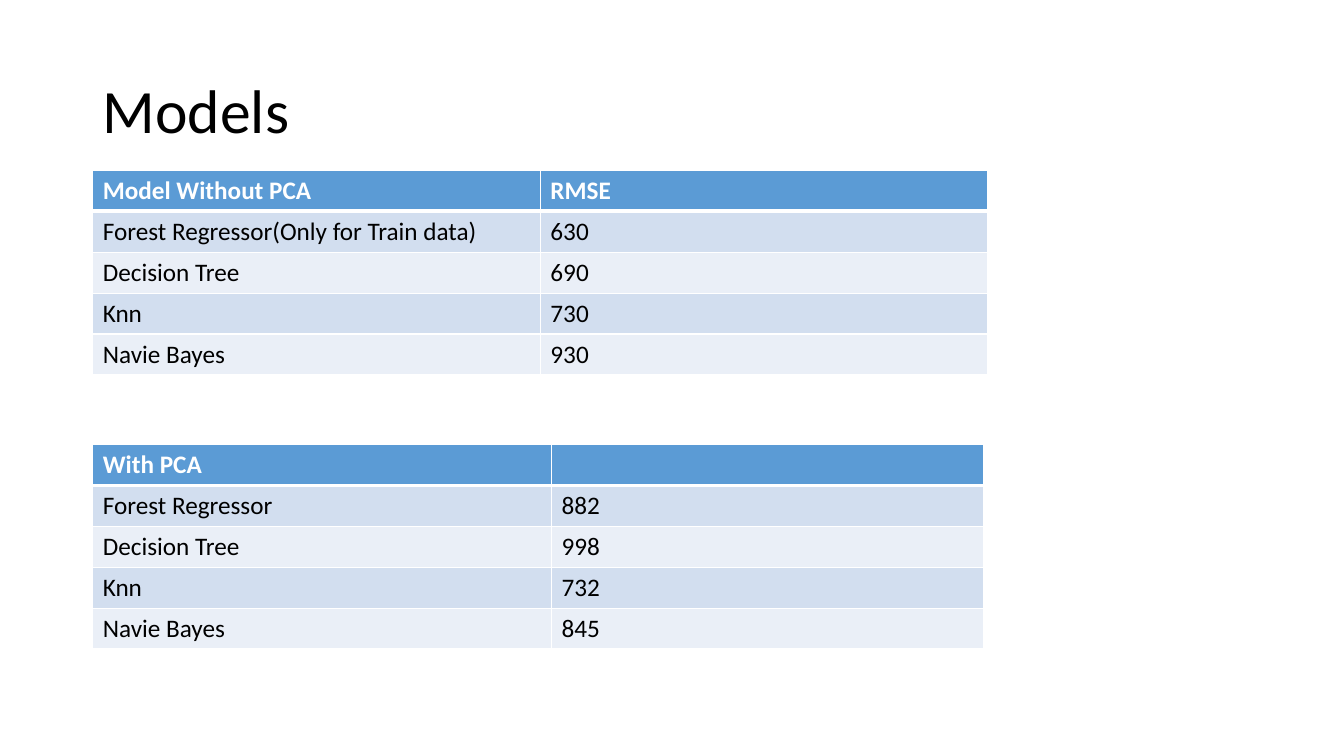
from lxml import etree
from pptx import Presentation
from pptx.dml.color import RGBColor
from pptx.enum.text import MSO_ANCHOR, PP_ALIGN
from pptx.oxml.ns import qn
from pptx.util import Pt

LEFT = PP_ALIGN.LEFT
MIDDLE = MSO_ANCHOR.MIDDLE
PX = 9144  # 100 px to the inch
FONT = "Calibri"
COLORS = {
    "text": "000000",
    "white": "FFFFFF",
    "head": "5B9BD5",
    "odd": "D2DEEF",
    "even": "EAEFF7",
}


def color(name):
    return RGBColor.from_string(COLORS[name])


class Deck:
    def __init__(self, wide, high):
        self.prs = Presentation()
        self.prs.slide_width = wide * PX
        self.prs.slide_height = high * PX
        self.slide = self.prs.slides.add_slide(self.prs.slide_layouts[5])

    def style(self, par, size, tint, bold=False):
        par.alignment = LEFT
        for run in par.runs:
            font = run.font
            font.name, font.size, font.bold = FONT, Pt(size), bold
            font.color.rgb = color(tint)

    def title(self, text, left, top, wide, high):
        box = self.slide.shapes.title
        box.left, box.top = left * PX, top * PX
        box.width, box.height = wide * PX, high * PX
        frame = box.text_frame
        frame.text = text
        frame.vertical_anchor = MIDDLE
        par = frame.paragraphs[0]
        par.line_spacing = 0.9
        self.style(par, 44, "text")

    def border(self, cell, row):
        # The rule under the header row is thicker
        widths = {
            "L": 1,
            "R": 1,
            "T": 3 if row == 1 else 1,
            "B": 3 if row == 0 else 1,
        }
        props = cell._tc.get_or_add_tcPr()
        for side, width in widths.items():
            line = etree.SubElement(props, qn(f"a:ln{side}"), w=str(Pt(width)))
            fill = etree.SubElement(line, qn("a:solidFill"))
            etree.SubElement(fill, qn("a:srgbClr"), val=COLORS["white"])

    def table(self, rows, left, top, cols, high):
        frame = self.slide.shapes.add_table(
            len(rows), len(cols), left * PX, top * PX,
            sum(cols) * PX, high * PX)
        grid = frame.table
        for col, wide in zip(grid.columns, cols):
            col.width = wide * PX
        for r, texts in enumerate(rows):
            grid.rows[r].height = high * PX // len(rows)
            shade = "head" if r == 0 else "odd" if r % 2 else "even"
            for c, text in enumerate(texts):
                cell = grid.cell(r, c)
                cell.text = text
                self.border(cell, r)
                cell.fill.solid()
                cell.fill.fore_color.rgb = color(shade)
                tint = "text" if r else "white"
                self.style(cell.text_frame.paragraphs[0], 18, tint, r == 0)


def main():
    deck = Deck(1333, 750)

    # Heading
    deck.title("Models", 92, 40, 1150, 145)

    # Scores with PCA
    deck.table([
        ("With PCA", ""),
        ("Forest Regressor", "882"),
        ("Decision Tree", "998"),
        ("Knn", "732"),
        ("Navie Bayes", "845"),
    ], 92, 441, (455, 429), 203)

    # Scores without PCA
    deck.table([
        ("Model Without PCA", "RMSE"),
        ("Forest Regressor(Only for Train data)", "630"),
        ("Decision Tree", "690"),
        ("Knn", "730"),
        ("Navie Bayes", "930"),
    ], 92, 169, (444, 444), 203)

    deck.prs.save("out.pptx")


if __name__ == "__main__":
    main()
